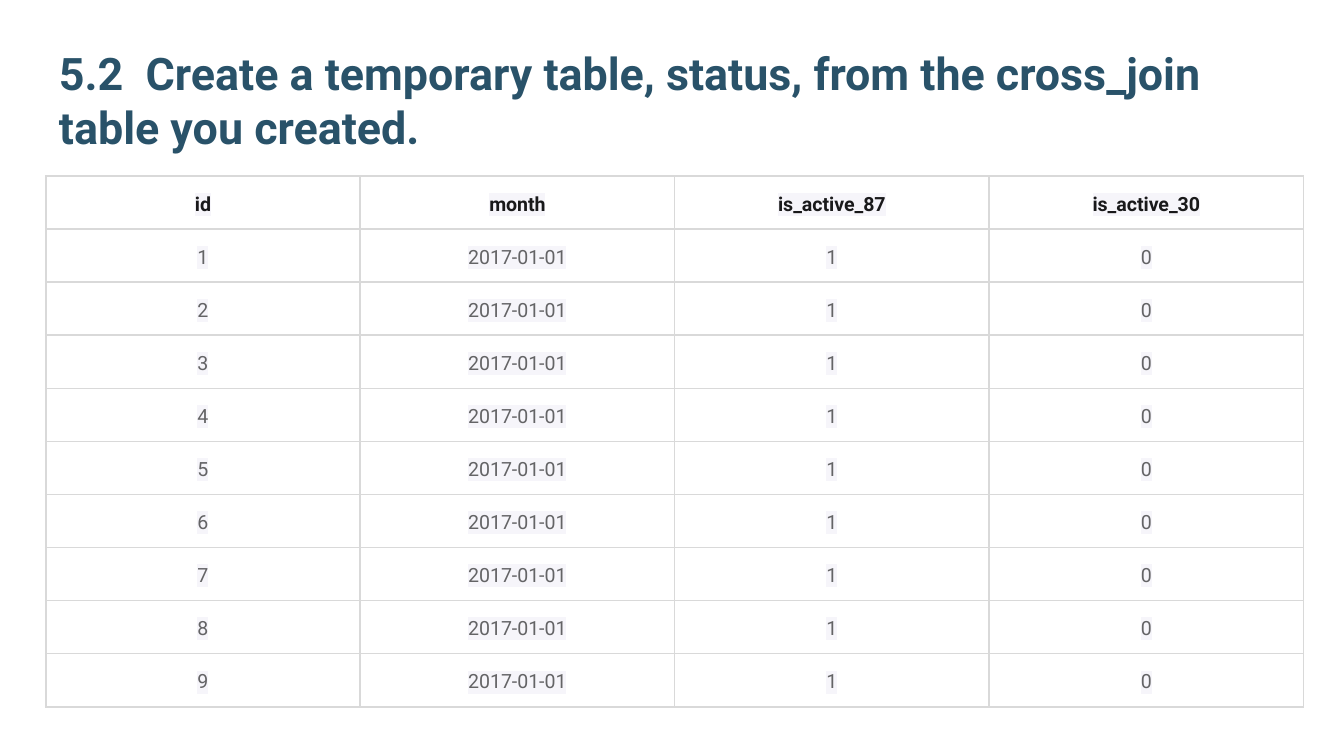
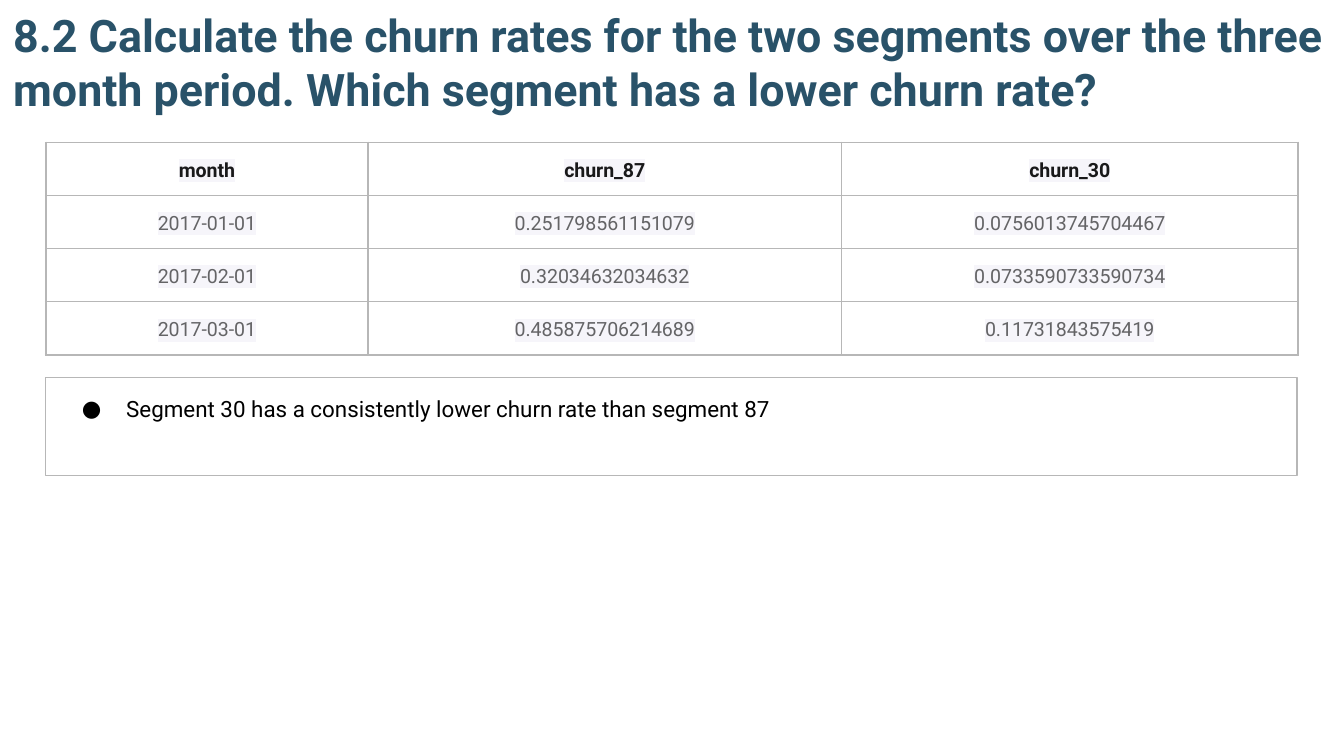
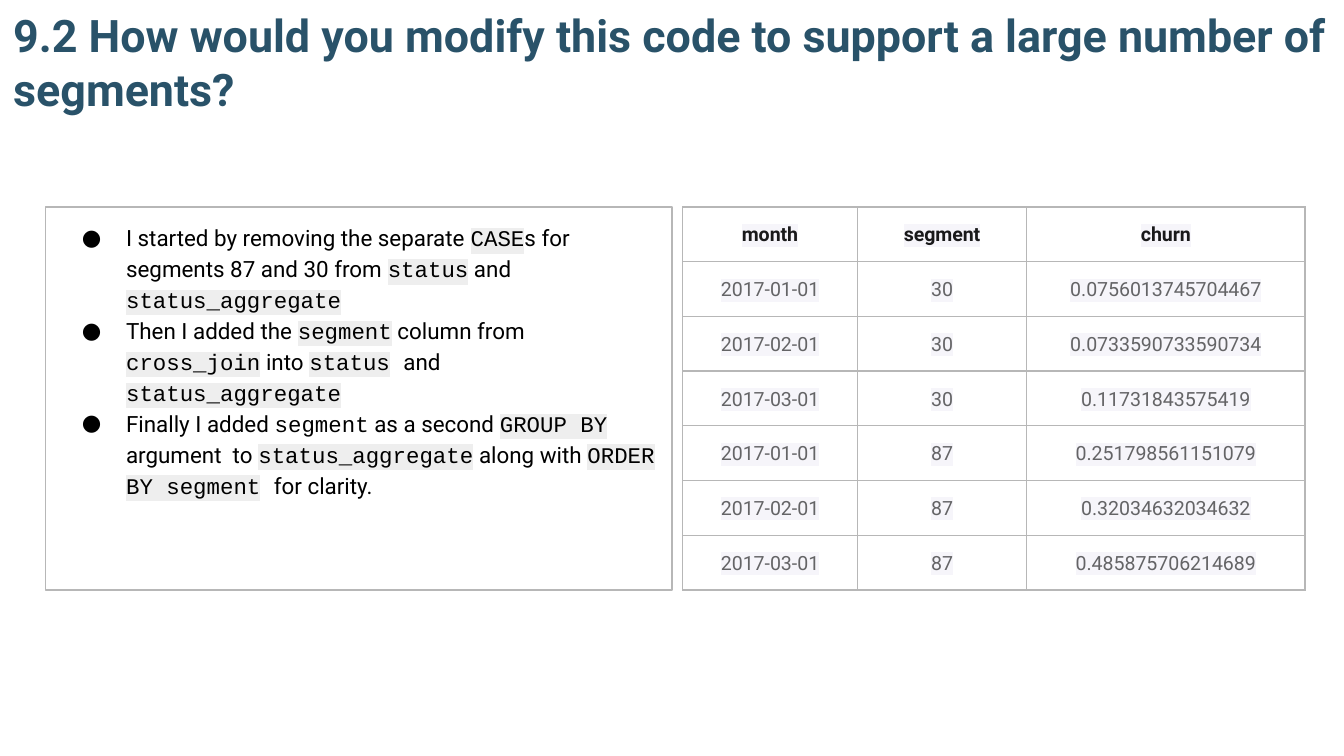
from lxml import etree
from pptx import Presentation
from pptx.dml.color import RGBColor
from pptx.enum.shapes import MSO_SHAPE
from pptx.enum.text import MSO_ANCHOR, PP_ALIGN
from pptx.oxml import parse_xml
from pptx.oxml.ns import nsdecls, qn
from pptx.util import Inches, Pt

SLIDE_W = 10
SLIDE_H = SLIDE_W * 9 / 16
MARGIN = 0.34
INSET = 0.1
SANS, MONO = "Roboto", "Courier New"
TEAL, INK, GREY, BLACK = "295269", "19191A", "646466", "000000"
LILAC, SILVER = "F6F5FA", "EEEEEE"
PALE_LINE, LINE = "D9D9D9", "B7B7B7"

PLAIN = (SANS, None)
CODE = (MONO, SILVER)
TYPED = (MONO, None)

MONTHS = ["2017-01-01", "2017-02-01", "2017-03-01"]
CHURN = {
    "30": ["0.0756013745704467", "0.0733590733590734", "0.11731843575419"],
    "87": ["0.251798561151079", "0.32034632034632", "0.485875706214689"],
}

STATUS_TITLE = "5.2  Create a temporary table, status, from the cross_join table you created."
STATUS_ROWS = [("id", "month", "is_active_87", "is_active_30")] + [
    (str(user), MONTHS[0], "1", "0") for user in range(1, 10)
]

RATES_TITLE = (
    "8.2 Calculate the churn rates for the two segments over the three month period. "
    "Which segment has a lower churn rate?"
)
RATES_ROWS = [("month", "churn_87", "churn_30")] + list(zip(MONTHS, CHURN["87"], CHURN["30"]))
RATES_FINDING = [
    [(PLAIN, "Segment 30 has a consistently lower churn rate than segment 87")],
]

SEGMENTS_TITLE = "9.2 How would you modify this code to support a large number of segments?"
SEGMENTS_ROWS = [("month", "segment", "churn")] + [
    (month, segment, rate)
    for segment, rates in CHURN.items()
    for month, rate in zip(MONTHS, rates)
]
SEGMENTS_STEPS = [
    [
        (PLAIN, "I started by removing the separate "), (CODE, "CASE"),
        (PLAIN, "s for segments 87 and 30 from "), (CODE, "status"),
        (PLAIN, " and "), (CODE, "status_aggregate"),
    ],
    [
        (PLAIN, "Then I added the "), (CODE, "segment"), (PLAIN, " column from "),
        (CODE, "cross_join"), (PLAIN, " into "), (CODE, "status"),
        (TYPED, " "), (PLAIN, "and "), (CODE, "status_aggregate"),
    ],
    [
        (PLAIN, "Finally I added "), (TYPED, "segment"), (PLAIN, " as a second "),
        (CODE, "GROUP BY"), (PLAIN, " argument  to "), (CODE, "status_aggregate"),
        (PLAIN, " along with "), (CODE, "ORDER BY segment"),
        (TYPED, " "), (PLAIN, "for clarity."),
    ],
]


def rgb(color):
    return RGBColor.from_string(color)


def style_run(run, size, color, font=SANS, bold=False, highlight=None):
    run.font.size = Pt(size)
    run.font.bold = bold
    run.font.color.rgb = rgb(color)
    run.font.name = font
    if highlight:
        fill = run._r.rPr.find(qn("a:solidFill"))
        fill.addnext(parse_xml(
            f'<a:highlight {nsdecls("a")}><a:srgbClr val="{highlight}"/></a:highlight>'
        ))


def set_insets(frame, bottom=INSET):
    frame.margin_left = frame.margin_right = frame.margin_top = Inches(INSET)
    frame.margin_bottom = Inches(bottom)


def add_title(slide, title, left, top, width, height, bottom_inset=INSET):
    frame = slide.shapes.add_textbox(*map(Inches, (left, top, width, height))).text_frame
    frame.word_wrap = True
    frame.vertical_anchor = MSO_ANCHOR.BOTTOM
    set_insets(frame, bottom_inset)
    frame.text = title
    style_run(frame.paragraphs[0].runs[0], 24, TEAL, bold=True)


def add_top_title(slide, title):
    add_title(slide, title, 0, 0.09, SLIDE_W, 1.27, bottom_inset=0.5)


def set_borders(cell, color, weight):
    properties = cell._tc.get_or_add_tcPr()
    for side in "LRTB":
        properties.append(parse_xml(
            f'<a:ln{side} {nsdecls("a")} w="{int(Pt(weight))}"><a:solidFill>'
            f'<a:srgbClr val="{color}"/></a:solidFill></a:ln{side}>'
        ))


def add_grid(slide, rows, left, top, widths, height, border, weight=1):
    size = (left, top, sum(widths), height)
    table = slide.shapes.add_table(len(rows), len(widths), *map(Inches, size)).table
    table.first_row = table.horz_banding = False
    for column, width in zip(table.columns, widths):
        column.width = Inches(width)
    for r, values in enumerate(rows):
        table.rows[r].height = Inches(height / len(rows))
        for c, value in enumerate(values):
            cell = table.cell(r, c)
            set_borders(cell, border, weight)
            cell.fill.background()
            set_insets(cell, bottom=0.09)
            cell.text_frame.text = value
            paragraph = cell.text_frame.paragraphs[0]
            paragraph.alignment = PP_ALIGN.CENTER
            paragraph.line_spacing = 1.15
            style_run(paragraph.runs[0], 10.5, INK if r == 0 else GREY,
                      bold=r == 0, highlight=LILAC)


def add_bullet(paragraph):
    properties = paragraph._p.get_or_add_pPr()
    properties.set("marL", str(Inches(0.5)))
    properties.set("indent", str(Inches(-0.33)))
    color = etree.SubElement(properties, qn("a:buClr"))
    etree.SubElement(color, qn("a:srgbClr")).set("val", BLACK)
    etree.SubElement(properties, qn("a:buSzPts")).set("val", "1200")
    etree.SubElement(properties, qn("a:buFont")).set("typeface", SANS)
    etree.SubElement(properties, qn("a:buChar")).set("char", "●")


def add_notes_box(slide, points, left, top, width, height):
    box = slide.shapes.add_shape(MSO_SHAPE.RECTANGLE, *map(Inches, (left, top, width, height)))
    box.shadow.inherit = False
    box.fill.background()
    box.line.color.rgb = rgb(LINE)
    box.line.width = Pt(0.75)
    frame = box.text_frame
    frame.word_wrap = True
    frame.vertical_anchor = MSO_ANCHOR.TOP
    set_insets(frame)
    for index, point in enumerate(points):
        paragraph = frame.add_paragraph() if index else frame.paragraphs[0]
        add_bullet(paragraph)
        paragraph.alignment = PP_ALIGN.LEFT
        paragraph.line_spacing = 1.15
        for (font, highlight), words in point:
            run = paragraph.add_run()
            run.text = words
            style_run(run, 12, BLACK, font, highlight=highlight)


def main():
    deck = Presentation()
    deck.slide_width, deck.slide_height = Inches(SLIDE_W), Inches(SLIDE_H)
    status, rates, segments = (deck.slides.add_slide(deck.slide_layouts[6]) for _ in range(3))

    add_title(status, STATUS_TITLE, MARGIN, 0.32, SLIDE_W - 2 * MARGIN, 0.92)
    add_grid(status, STATUS_ROWS, MARGIN, 1.31, [2.34] * 4, 3.95, PALE_LINE)

    add_notes_box(rates, RATES_FINDING, MARGIN, 2.81, 9.31, 0.73)
    add_top_title(rates, RATES_TITLE)
    add_grid(rates, RATES_ROWS, MARGIN, 1.06, [2.4, 3.52, 3.4], 1.58, LINE)

    add_notes_box(segments, SEGMENTS_STEPS, MARGIN, 1.54, 4.66, 2.85)
    add_top_title(segments, SEGMENTS_TITLE)
    add_grid(segments, SEGMENTS_ROWS, 5.08, 1.54, [1.3, 1.26, 2.07], 2.85, LINE, 0.83)

    deck.save("out.pptx")


if __name__ == "__main__":
    main()
